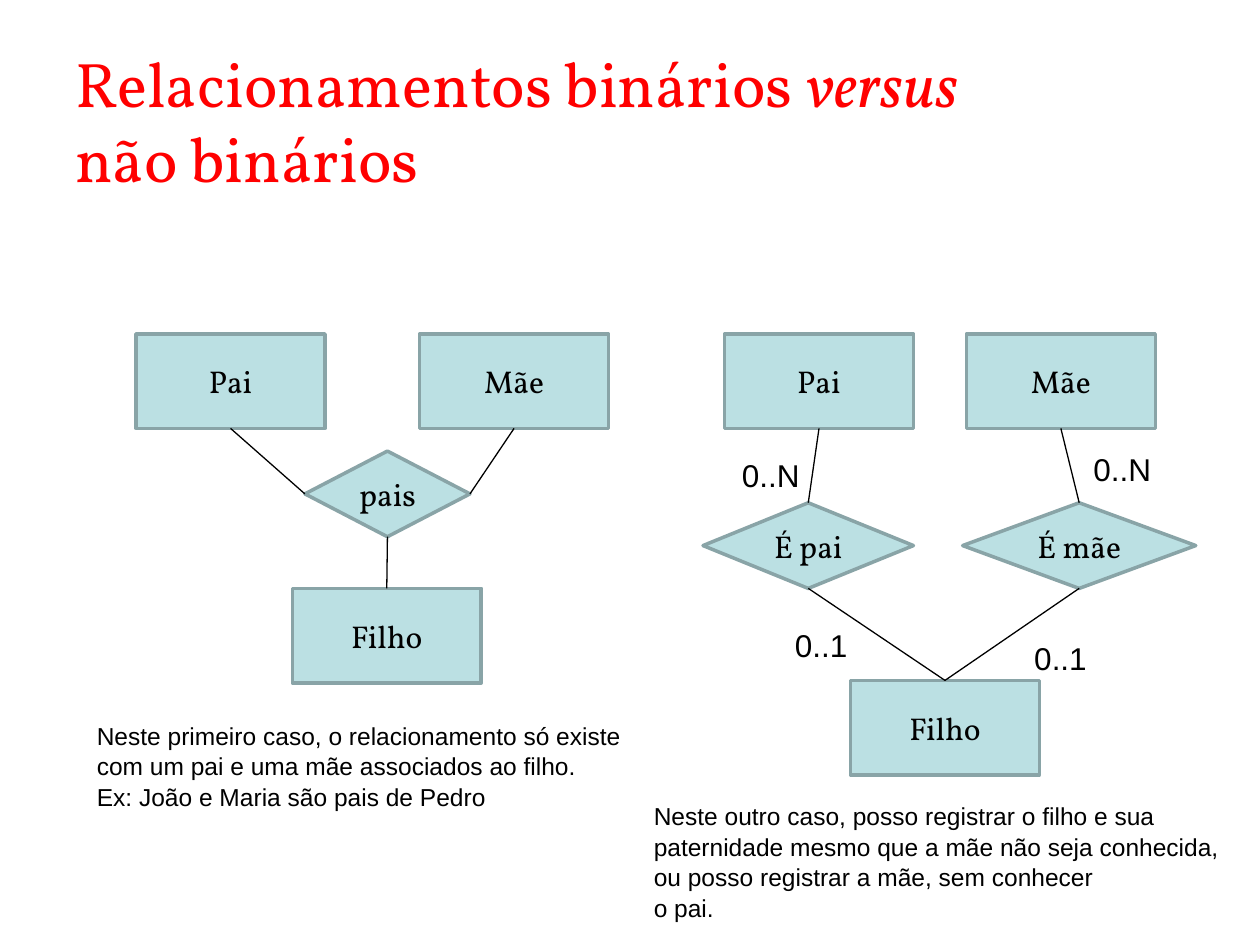
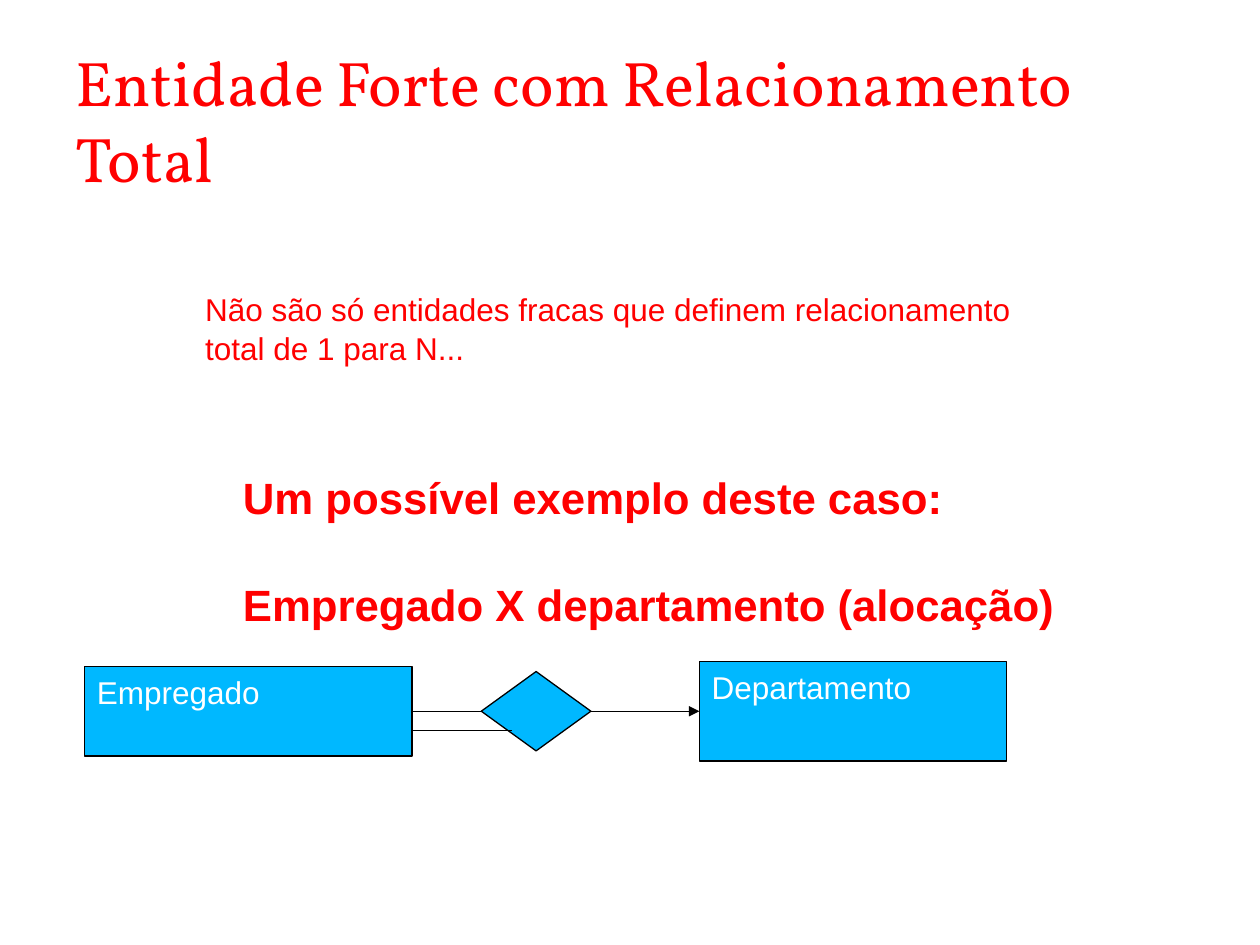
"""Build two slides on entity-relationship modelling."""
from dataclasses import dataclass

from lxml import etree
from pptx import Presentation
from pptx.dml.color import RGBColor
from pptx.enum.shapes import MSO_CONNECTOR, MSO_SHAPE
from pptx.enum.text import MSO_ANCHOR, MSO_AUTO_SIZE, PP_ALIGN
from pptx.oxml.ns import qn
from pptx.util import Inches, Pt

RECTANGLE, DIAMOND = MSO_SHAPE.RECTANGLE, MSO_SHAPE.DIAMOND
STRAIGHT = MSO_CONNECTOR.STRAIGHT
LEFT_ALIGN, CENTER_ALIGN = PP_ALIGN.LEFT, PP_ALIGN.CENTER
TOP_ANCHOR, MIDDLE_ANCHOR = MSO_ANCHOR.TOP, MSO_ANCHOR.MIDDLE
FIT_SHAPE = MSO_AUTO_SIZE.SHAPE_TO_FIT_TEXT
TOP, LEFT, BOTTOM, RIGHT = range(4)

COLORS = {
    "red": "FF0000",
    "black": "000000",
    "white": "FFFFFF",
    "teal": "BBE0E3",
    "teal_edge": "89A4A7",
    "blue": "00B8FF",
}
SERIF, SANS = "Vollkorn", "Arial"
LINE_WIDTH = Pt(0.75)
PARAGRAPH_GAP = Pt(0.3)


@dataclass(frozen=True)
class TextStyle:
    font: str
    size: float
    color: str
    bold: bool = False
    align: PP_ALIGN = LEFT_ALIGN
    gap: float = 0.3


@dataclass(frozen=True)
class NodeStyle:
    fill: str
    edge: str
    edge_width: float
    text: TextStyle
    anchor: MSO_ANCHOR


@dataclass(frozen=True)
class Node:
    key: str
    label: str
    left: float
    top: float
    width: float = 1.5
    height: float = 0.75
    kind: MSO_SHAPE = RECTANGLE


@dataclass(frozen=True)
class Link:
    start: str
    start_side: int
    end: str
    end_side: int
    arrow: bool = False


@dataclass(frozen=True)
class Note:
    lines: tuple[str, ...]
    left: float
    top: float
    width: float
    height: float
    style: TextStyle


TITLE = TextStyle(SERIF, 36, "red")
CAPTION = TextStyle(SANS, 14, "black")
CARDINALITY = TextStyle(SANS, 18, "black")
REMARK = TextStyle(SANS, 18, "red")
EXAMPLE = TextStyle(SANS, 25, "red", bold=True, gap=30.5)
FAMILY_STYLE = NodeStyle("teal", "teal_edge", 2,
                         TextStyle(SERIF, 18, "black", align=CENTER_ALIGN), MIDDLE_ANCHOR)
COMPANY_STYLE = NodeStyle("blue", "black", 0.75, TextStyle(SANS, 18, "white"), TOP_ANCHOR)

FAMILY_NODES = (
    Node("father", "Pai", 1.08, 2.65),
    Node("mother", "Mãe", 3.33, 2.65),
    Node("child", "Filho", 2.32, 4.67),
    Node("parents", "pais", 2.42, 3.58, 1.31, 0.68, DIAMOND),
    Node("known father", "Pai", 5.75, 2.65),
    Node("known child", "Filho", 6.75, 5.4),
    Node("known mother", "Mãe", 7.67, 2.65),
    Node("is father", "É pai", 5.58, 3.99, 1.67, 0.68, DIAMOND),
    Node("is mother", "É mãe", 7.64, 3.99, 1.85, 0.68, DIAMOND),
)
FAMILY_LINKS = (
    Link("father", BOTTOM, "parents", LEFT),
    Link("mother", BOTTOM, "parents", RIGHT),
    Link("parents", BOTTOM, "child", TOP),
    Link("known father", BOTTOM, "is father", TOP),
    Link("is father", BOTTOM, "known child", TOP),
    Link("known mother", BOTTOM, "is mother", TOP),
    Link("is mother", BOTTOM, "known child", TOP),
)
FAMILY_NOTES = (
    Note(("Neste primeiro caso, o relacionamento só existe",
          "com um pai e uma mãe associados ao filho.",
          "Ex: João e Maria são pais de Pedro"), 0.67, 5.67, 4.4, 0.82, CAPTION),
    Note(("Neste outro caso, posso registrar o filho e sua",
          "paternidade mesmo que a mãe não seja conhecida,",
          "ou posso registrar a mãe, sem conhecer",
          "o pai."), 5.09, 6.31, 4.78, 1.3, CAPTION),
    Note(("0..1",), 6.21, 4.92, 0.65, 0.4, CARDINALITY),
    Note(("0..1",), 8.11, 5.02, 0.65, 0.4, CARDINALITY),
    Note(("0..N",), 5.79, 3.57, 0.7, 0.4, CARDINALITY),
    Note(("0..N",), 8.58, 3.52, 0.7, 0.4, CARDINALITY),
)

COMPANY_NODES = (
    Node("employee", "Empregado", 0.67, 5.29, 2.6, 0.71),
    Node("department", "Departamento", 5.55, 5.25, 2.44, 0.79),
    Node("allocation", "", 3.82, 5.33, 0.87, 0.63, DIAMOND),
)
COMPANY_LINKS = (
    Link("allocation", RIGHT, "department", LEFT, arrow=True),
    Link("allocation", LEFT, "employee", RIGHT),
)
COMPANY_NOTES = (
    Note(("Não são só entidades fracas que definem relacionamento",
          "total de 1 para N..."), 1.53, 2.25, 6.7, 0.71, REMARK),
    Note(("Um possível exemplo deste caso:",
          "Empregado X departamento (alocação)"), 1.83, 3.69, 6.75, 1.37, EXAMPLE),
)


def color(name: str) -> RGBColor:
    return RGBColor.from_string(COLORS[name])


def style_paragraph(para, style: TextStyle) -> None:
    para.alignment = style.align
    para.space_after = PARAGRAPH_GAP
    para.font.name = style.font
    para.font.size = Pt(style.size)
    para.font.bold = style.bold
    para.font.color.rgb = color(style.color)


def add_title(page, height: float):
    box = page.shapes.add_textbox(Inches(0.5), Inches(0.3), Inches(9), Inches(height))
    box.text_frame.word_wrap = True
    para = box.text_frame.paragraphs[0]
    style_paragraph(para, TITLE)
    return para


def add_note(page, note: Note) -> None:
    box = page.shapes.add_textbox(Inches(note.left), Inches(note.top),
                                  Inches(note.width), Inches(note.height))
    frame = box.text_frame
    frame.word_wrap = True
    frame.auto_size = FIT_SHAPE
    for index, line in enumerate(note.lines):
        para = frame.add_paragraph() if index else frame.paragraphs[0]
        para.text = line
        style_paragraph(para, note.style)
        if index:
            para.space_before = Pt(note.style.gap)


def add_node(page, node: Node, style: NodeStyle):
    shape = page.shapes.add_shape(node.kind, Inches(node.left), Inches(node.top),
                                  Inches(node.width), Inches(node.height))
    shape.shadow.inherit = False
    shape.fill.solid()
    shape.fill.fore_color.rgb = color(style.fill)
    shape.line.color.rgb = color(style.edge)
    shape.line.width = Pt(style.edge_width)
    if node.label:
        frame = shape.text_frame
        frame.vertical_anchor = style.anchor
        frame.paragraphs[0].text = node.label
        style_paragraph(frame.paragraphs[0], style.text)
    return shape


def add_line(page, start: tuple[float, float] = (0, 0), end: tuple[float, float] = (0, 0)):
    line = page.shapes.add_connector(STRAIGHT, *map(Inches, start + end))
    line.line.color.rgb = color("black")
    line.line.width = LINE_WIDTH
    etree.SubElement(line._element.spPr, qn("a:effectLst"))
    return line


def add_diagram(page, nodes: tuple[Node, ...], links: tuple[Link, ...],
                style: NodeStyle) -> None:
    shapes = {node.key: add_node(page, node, style) for node in nodes}
    for link in links:
        line = add_line(page)
        line.begin_connect(shapes[link.start], link.start_side)
        line.end_connect(shapes[link.end], link.end_side)
        if link.arrow:
            etree.SubElement(line.line._get_or_add_ln(), qn("a:tailEnd"), type="triangle")


def build_family_page(page) -> None:
    title = add_title(page, 1.25)
    title.add_run().text = "Relacionamentos binários "
    span = title.add_run()
    span.text = "versus"
    span.font.italic = True
    title.add_line_break()
    title.add_run().text = "não binários"
    add_diagram(page, FAMILY_NODES, FAMILY_LINKS, FAMILY_STYLE)
    for note in FAMILY_NOTES:
        add_note(page, note)


def build_company_page(page) -> None:
    add_title(page, 0.8).add_run().text = "Entidade Forte com Relacionamento Total"
    for note in COMPANY_NOTES:
        add_note(page, note)
    add_diagram(page, COMPANY_NODES, COMPANY_LINKS, COMPANY_STYLE)
    add_line(page, (3.27, 5.8), (4.06, 5.8))


def main() -> None:
    deck = Presentation()
    deck.slide_width, deck.slide_height = Inches(10), Inches(7.5)
    for build in (build_family_page, build_company_page):
        build(deck.slides.add_slide(deck.slide_layouts[6]))
    deck.save("out.pptx")


if __name__ == "__main__":
    main()
